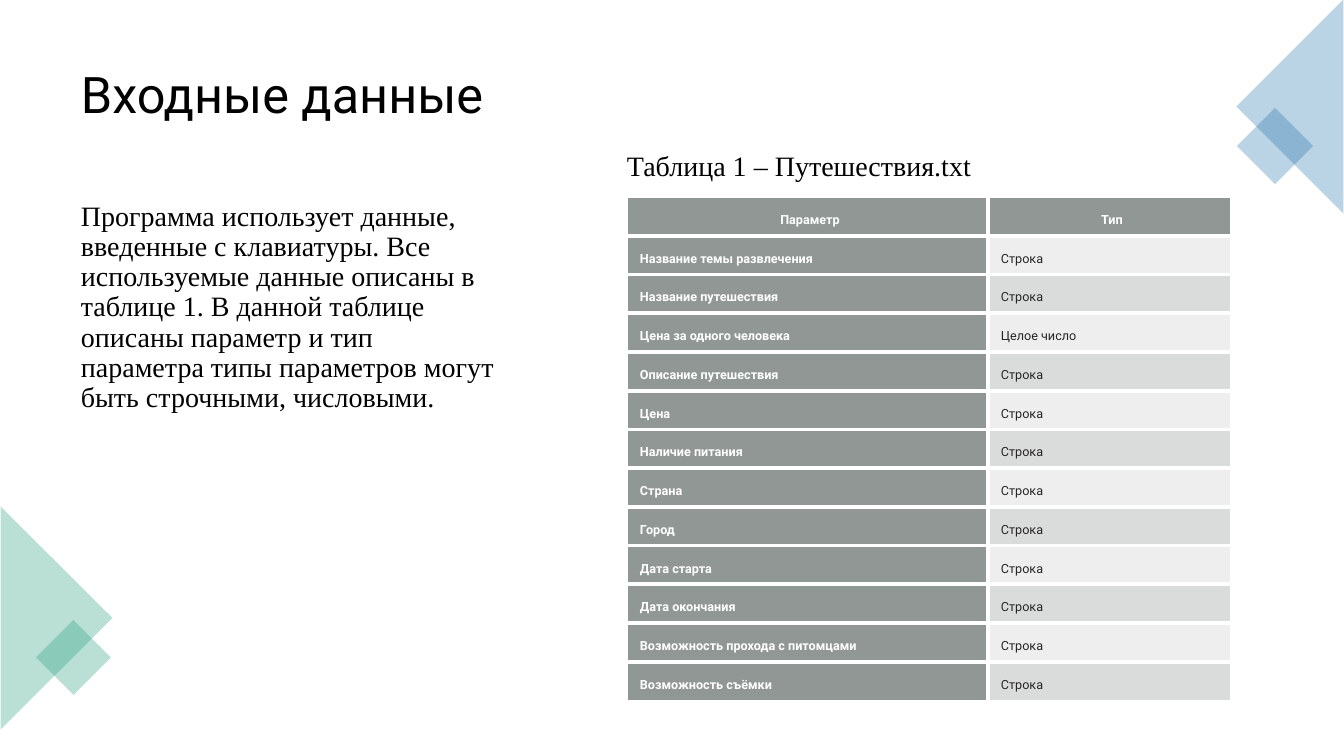
from lxml import etree
from pptx import Presentation
from pptx.dml.color import RGBColor
from pptx.enum.shapes import MSO_SHAPE
from pptx.enum.text import MSO_ANCHOR, PP_ALIGN
from pptx.oxml.ns import qn
from pptx.util import Emu, Pt


class Theme:
    SANS, SERIF = "Roboto", "Times New Roman"
    TITLE, BODY, CELL = 36, 20, 9
    BLACK, WHITE, INK = "000000", "FFFFFF", "262626"
    GREEN, BLUE = "1D9A78", "1D6FA9"
    DARK, LIGHT = "636B68", "878E8B"
    BORDER = 3


# Content
TITLE = "Входные данные"
BODY = ("Программа использует данные, введенные с клавиатуры. Все используемые "
        "данные описаны в таблице 1. В данной таблице описаны параметр и тип "
        "параметра типы параметров могут быть строчными, числовыми.")
CAPTION = "\u00a0Таблица\u00a01 –\u00a0Путешествия.txt"
ROWS = [
    ("Параметр", "Тип"),
    ("Название темы развлечения", "Строка"),
    ("Название путешествия", "Строка"),
    ("Цена за одного человека", "Целое число"),
    ("Описание путешествия", "Строка"),
    ("Цена", "Строка"),
    ("Наличие питания", "Строка"),
    ("Страна", "Строка"),
    ("Город", "Строка"),
    ("Дата старта", "Строка"),
    ("Дата окончания", "Строка"),
    ("Возможность прохода с питомцами", "Строка"),
    ("Возможность съёмки", "Строка"),
]

# Layout in pixels: left, top, width, height
TITLE_BOX = (71, 35, 1203, 125)
BODY_BOX = (71, 197, 442, 485)
CAPTION_BOX = (610, 144, 424, 45)
TABLE_LEFT, TABLE_TOP, ROW_HEIGHT = 627, 197, 37
COLUMNS = (361, 243)
CELL_LEFT, CELL_INSET = 13, 8
TRIANGLE, SQUARE = MSO_SHAPE.ISOSCELES_TRIANGLE, MSO_SHAPE.RECTANGLE
CORNERS = [
    (TRIANGLE, (-55, 562, 223, 112), 90, Theme.GREEN),
    (SQUARE, (47, 631, 53, 53), 45, Theme.GREEN),
    (SQUARE, (1248, 119, 54, 54), 45, Theme.BLUE),
    (TRIANGLE, (1183, 53, 214, 107), 270, Theme.BLUE),
]


def px(value):
    return Emu(round(value * 914400 / 100.8))


def paint(fill, color, opacity):
    fill.solid()
    fill.fore_color.rgb = RGBColor.from_string(color)
    srgb = fill._xPr.find(qn("a:solidFill")).find(qn("a:srgbClr"))
    etree.SubElement(srgb, qn("a:alpha")).set("val", str(opacity * 1000))


def write(frame, text, font, size, color, bold=False, spacing=1.0, align=PP_ALIGN.LEFT):
    paragraph = frame.paragraphs[0]
    paragraph.alignment, paragraph.line_spacing = align, spacing
    run = paragraph.add_run()
    run.text = text
    run.font.name, run.font.size, run.font.bold = font, Pt(size), bold
    run.font.color.rgb = RGBColor.from_string(color)


def add_text(box, text, font, size, spacing, anchor=MSO_ANCHOR.TOP):
    frame = slide.shapes.add_textbox(*map(px, box)).text_frame
    frame.word_wrap, frame.vertical_anchor = True, anchor
    write(frame, text, font, size, Theme.BLACK, spacing=spacing)


def add_borders(cell, sides):
    for place, side in enumerate(sides):
        line = etree.Element(qn(f"a:ln{side}"), w=str(Pt(Theme.BORDER)))
        fill = etree.SubElement(line, qn("a:solidFill"))
        etree.SubElement(fill, qn("a:srgbClr"), val=Theme.WHITE)
        cell._tc.get_or_add_tcPr().insert(place, line)


prs = Presentation()
prs.slide_width, prs.slide_height = px(1344), px(756)
slide = prs.slides.add_slide(prs.slide_layouts[6])

# Title and body
add_text(TITLE_BOX, TITLE, Theme.SANS, Theme.TITLE, 0.9, MSO_ANCHOR.MIDDLE)
add_text(BODY_BOX, BODY, Theme.SERIF, Theme.BODY, 0.9)

# Corner decorations
for kind, box, angle, color in CORNERS:
    shape = slide.shapes.add_shape(kind, *map(px, box))
    shape.rotation = angle
    shape.shadow.inherit = False
    shape.line.fill.background()
    paint(shape.fill, color, 30)

# Table with its caption
add_text(CAPTION_BOX, CAPTION, Theme.SERIF, Theme.BODY, 1.0)
table = slide.shapes.add_table(
    len(ROWS), len(COLUMNS), px(TABLE_LEFT), px(TABLE_TOP),
    px(sum(COLUMNS)), px(ROW_HEIGHT * len(ROWS))).table
table.first_row = table.horz_banding = False
for column, width in zip(table.columns, COLUMNS):
    column.width = px(width)

for r, row in enumerate(ROWS):
    table.rows[r].height = px(ROW_HEIGHT)
    for c, text in enumerate(row):
        cell = table.cell(r, c)
        cell.vertical_anchor = MSO_ANCHOR.MIDDLE
        cell.margin_left = px(CELL_LEFT)
        cell.margin_right = cell.margin_top = cell.margin_bottom = px(CELL_INSET)
        heading = r == 0 or c == 0
        if heading:
            paint(cell.fill, Theme.DARK, 70)
        else:
            paint(cell.fill, Theme.LIGHT, 15 if r % 2 else 30)
        write(cell.text_frame, text, Theme.SANS, Theme.CELL,
              Theme.WHITE if heading else Theme.INK, heading, 1.5,
              PP_ALIGN.CENTER if r == 0 else PP_ALIGN.LEFT)
        inner = {"L": c > 0, "R": c < len(COLUMNS) - 1,
                 "T": r > 0, "B": r < len(ROWS) - 1}
        add_borders(cell, [side for side, shown in inner.items() if shown])

prs.save("out.pptx")
